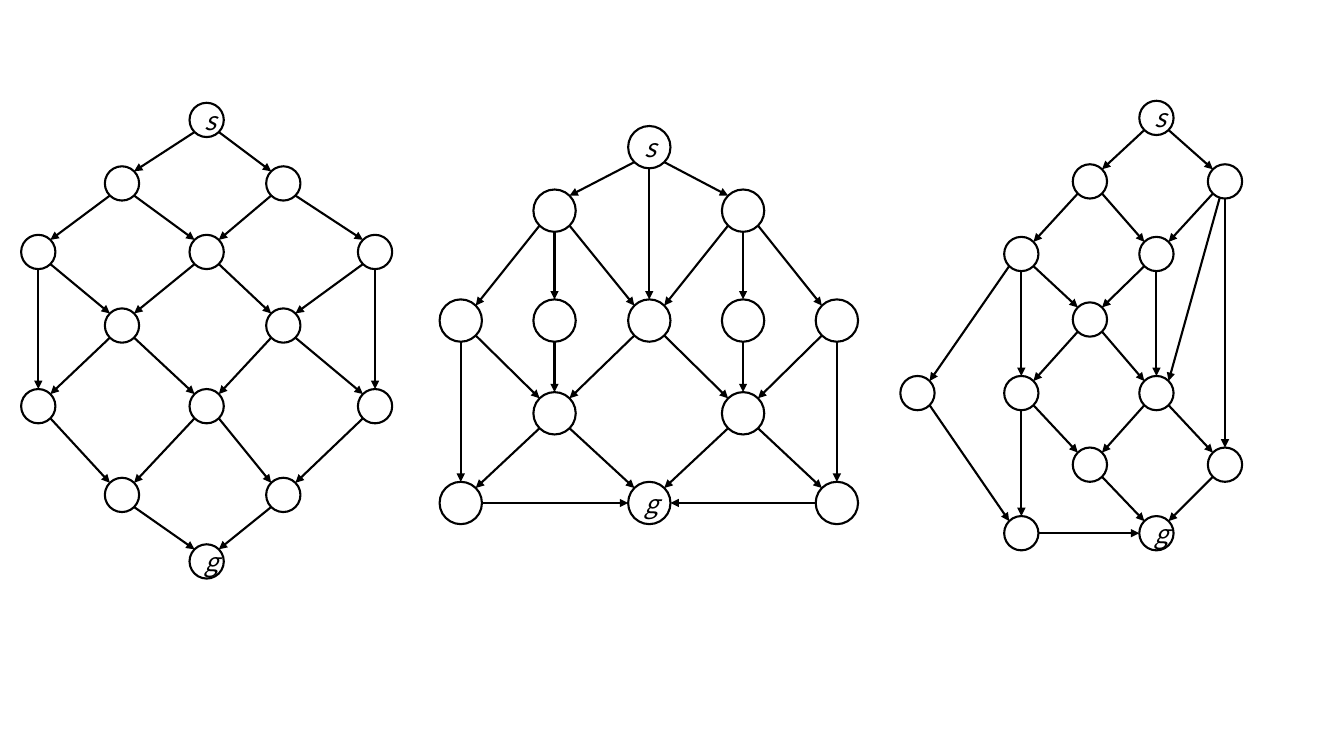
import math
from dataclasses import dataclass

from lxml import etree
from pptx import Presentation, util
from pptx.dml.color import RGBColor
from pptx.enum import shapes, text
from pptx.oxml.ns import qn


@dataclass(frozen=True)
class Theme:
    ink: RGBColor = RGBColor(0, 0, 0)
    line_width: float = 1.5
    font: str = "Noto Sans CJK JP"
    label_size: float = 18


THEME = Theme()
LABELLED = "sg"
STEEP = 2  # slope from which an edge leaves along its own direction

# corner: left and top of the node grid (inches)
# columns, rows: grid lines measured from that corner (inches)
# layout: one string per grid row, a letter for each node
# edges: node -> nodes it points to
GRAPHS = [
    dict(
        corner=(0.38, 1.19), diameter=0.34,
        columns=(0, 0.83, 1.67, 2.43, 3.34),
        rows=(0, 0.63, 1.31, 2.04, 2.84, 3.72, 4.38),
        layout=("..s..", ".a.b.", "c.d.e", ".f.h.", "i.j.k", ".l.m.", "..g.."),
        edges=dict(s="ab", a="cd", b="de", c="fi", d="fh", e="hk", f="ij",
                   h="jk", i="l", j="lm", k="m", l="g", m="g"),
    ),
    dict(
        corner=(4.57, 1.46), diameter=0.42,
        columns=(0, 0.93, 1.87, 2.8, 3.73),
        rows=(0, 0.63, 1.72, 2.64, 3.53),
        layout=("..s..", ".a.b.", "cdefh", ".i.j.", "k.g.l"),
        edges=dict(s="aeb", a="cde", b="efh", c="ik", d="i", e="ij", f="j",
                   h="jl", i="kg", j="gl", k="g", l="g"),
    ),
    dict(
        corner=(9.1, 1.17), diameter=0.34,
        columns=(0, 1.03, 1.71, 2.37, 3.05),
        rows=(0, 0.63, 1.35, 2, 2.73, 3.44, 4.12),
        layout=("...s.", "..a.b", ".c.d.", "..e..", "fh.i.", "..j.k", ".l.g."),
        edges=dict(s="ab", a="cd", b="dik", c="ehf", d="ei", e="hi", f="l",
                   h="jl", i="jk", j="g", k="g", l="g"),
    ),
]


def style_line(line):
    line.color.rgb = THEME.ink
    line.width = util.Pt(THEME.line_width)


def add_node(slide, name, centre, diameter):
    left, top = (util.Inches(value - diameter / 2) for value in centre)
    size = util.Inches(diameter)
    node = slide.shapes.add_shape(shapes.MSO_SHAPE.OVAL, left, top, size, size)
    node.shadow.inherit = False
    node.fill.background()
    style_line(node.line)
    if name not in LABELLED:
        return
    node.text_frame.vertical_anchor = text.MSO_ANCHOR.MIDDLE
    paragraph = node.text_frame.paragraphs[0]
    paragraph.alignment = text.PP_ALIGN.CENTER
    run = paragraph.add_run()
    run.text = name
    font_format = dict(name=THEME.font, size=util.Pt(THEME.label_size), italic=True)
    for attribute, value in font_format.items():
        setattr(run.font, attribute, value)
    run.font.color.rgb = THEME.ink


def edge_ends(start, end, radius):
    """Return the points where an edge leaves one circle and meets the other."""
    dx, dy = end[0] - start[0], end[1] - start[1]
    length = math.hypot(dx, dy)
    direct = radius * dx / length, radius * dy / length
    side = radius * math.sqrt(0.5)
    diagonal = math.copysign(side, dx), math.copysign(side, dy)
    short, long = sorted((abs(dx), abs(dy)))
    leave = direct if long > STEEP * short else diagonal
    arrive = diagonal if short > 0.01 else direct
    return (start[0] + leave[0], start[1] + leave[1],
            end[0] - arrive[0], end[1] - arrive[1])


def add_edge(slide, start, end, radius):
    points = map(util.Inches, edge_ends(start, end, radius))
    edge = slide.shapes.add_connector(shapes.MSO_CONNECTOR.STRAIGHT, *points)
    style_line(edge.line)
    properties = edge.element.spPr
    etree.SubElement(properties.find(qn("a:ln")), qn("a:tailEnd"), type="triangle")
    etree.SubElement(properties, qn("a:effectLst"))


def add_graph(slide, corner, diameter, columns, rows, layout, edges):
    left, top = corner
    centres = {
        name: (left + column, top + row)
        for row, names in zip(rows, layout)
        for column, name in zip(columns, names)
        if name != "."
    }
    for name, centre in centres.items():
        add_node(slide, name, centre, diameter)
    for source, targets in edges.items():
        for target in targets:
            add_edge(slide, centres[source], centres[target], diameter / 2)


def main():
    presentation = Presentation()
    presentation.slide_width = util.Inches(13.33)
    presentation.slide_height = util.Inches(7.5)
    slide = presentation.slides.add_slide(presentation.slide_layouts[6])
    for graph in GRAPHS:
        add_graph(slide, **graph)
    presentation.save("out.pptx")


if __name__ == "__main__":
    main()
